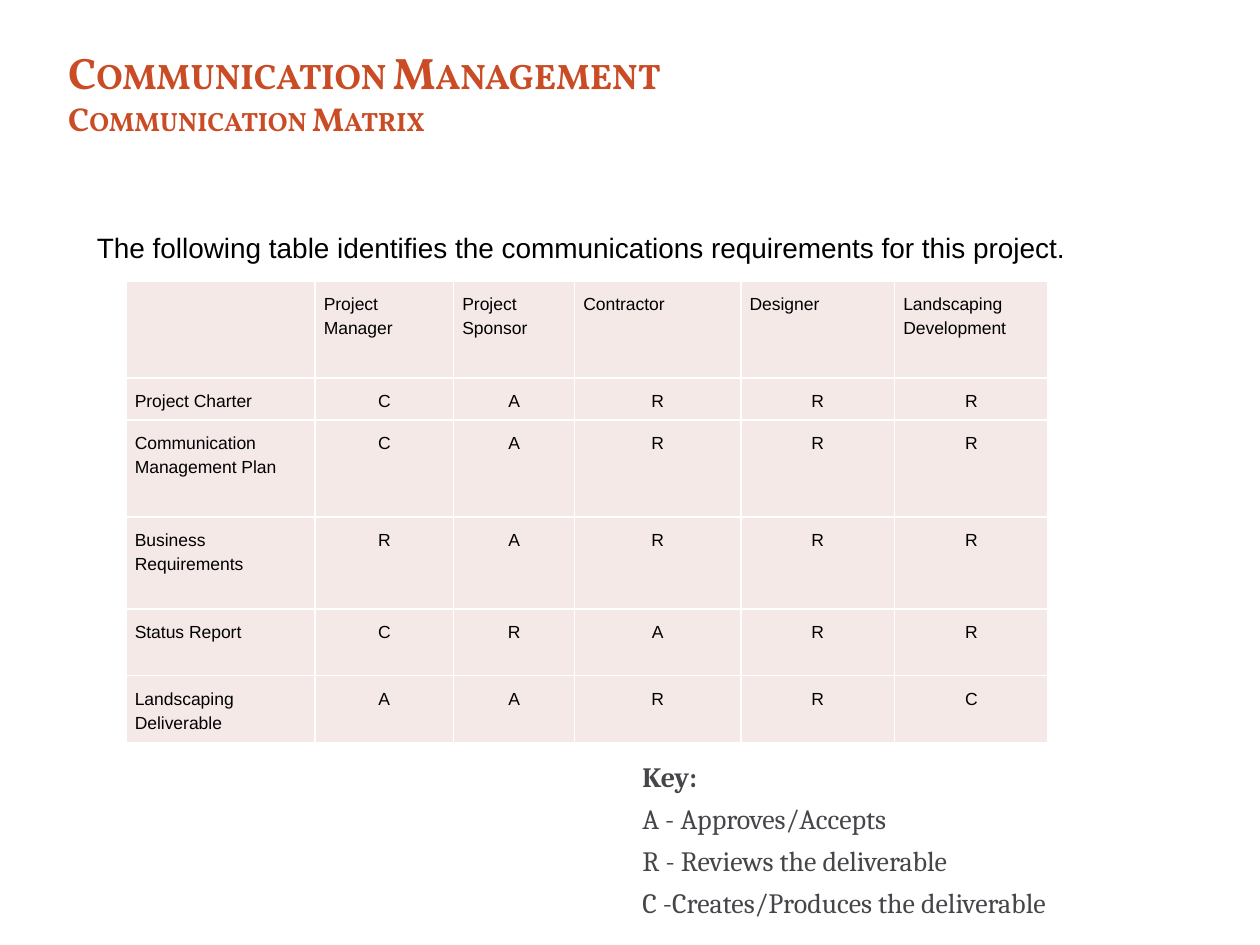
"""Build the communication matrix slide."""
from lxml.etree import SubElement
from pptx import Presentation
from pptx.dml.color import RGBColor
from pptx.enum.text import MSO_ANCHOR, PP_ALIGN
from pptx.oxml.ns import qn
from pptx.util import Inches, Pt

ORANGE = RGBColor(0xC9, 0x4C, 0x25)
PINK = RGBColor(0xF5, 0xE9, 0xE8)
GRAY = RGBColor(0x46, 0x46, 0x4A)
BLACK = RGBColor(0, 0, 0)
WHITE = RGBColor(0xFF, 0xFF, 0xFF)


def set_font(font, name, size, color, bold=False):
    font.name, font.size, font.bold = name, Pt(size), bold
    font.color.rgb = color


def add_borders(cell):
    tc_pr = cell._tc.get_or_add_tcPr()
    for side in ("a:lnL", "a:lnR", "a:lnT", "a:lnB"):
        ln = SubElement(tc_pr, qn(side), w=str(Pt(1)))
        fill = SubElement(ln, qn("a:solidFill"))
        SubElement(fill, qn("a:srgbClr"), val=str(WHITE))


prs = Presentation()
prs.slide_width, prs.slide_height = Inches(10), Inches(7.5)
s = prs.slides.add_slide(prs.slide_layouts[5])

title = s.shapes.title
title.left, title.top = Inches(0.34), Inches(0.36)
title.width, title.height = Inches(5.07), Inches(0.74)
tf = title.text_frame
tf.margin_left = tf.margin_right = 0
tf.vertical_anchor = MSO_ANCHOR.MIDDLE
p = tf.paragraphs[0]
p.alignment = PP_ALIGN.LEFT
p_pr = p._p.get_or_add_pPr()
p_pr.set("marL", str(Inches(0.2)))
p_pr.set("indent", "0")
for text, size in [("Communication", 25.2), (" ", 22.5), ("Management", 25.2),
                   ("Communication Matrix", 18.9)]:
    if text == "Communication Matrix":
        p.add_line_break()
    r = p.add_run()
    r.text = text
    set_font(r.font, "Vollkorn", size, ORANGE, True)
    r._r.get_or_add_rPr().set("cap", "small")

header = ["", "Project Manager", "Project Sponsor", "Contractor", "Designer",
          "Landscaping Development"]
deliverables = [("Project Charter", "CARRR"),
                ("Communication Management Plan", "CARRR"),
                ("Business Requirements", "RARRR"),
                ("Status Report", "CRARR"),
                ("Landscaping Deliverable", "AARRC")]
rows = [header] + [[name, *codes] for name, codes in deliverables]
widths = [1.5, 1.1, 0.96, 1.32, 1.22, 1.22]
heights = [0.77, 0.33, 0.77, 0.73, 0.53, 0.53]

table = s.shapes.add_table(len(rows), len(widths), Inches(1), Inches(2.23),
                           Inches(sum(widths)), Inches(sum(heights))).table
for column, width in zip(table.columns, widths):
    column.width = Inches(width)
for row, height in zip(table.rows, heights):
    row.height = Inches(height)
for i, row in enumerate(rows):
    for j, text in enumerate(row):
        cell = table.cell(i, j)
        add_borders(cell)
        cell.fill.solid()
        cell.fill.fore_color.rgb = PINK
        cell.margin_left = cell.margin_right = Inches(0.07)
        cell.margin_top = cell.margin_bottom = Inches(0.07)
        cell.text = text
        p = cell.text_frame.paragraphs[0]
        p.line_spacing = 1.25
        p.alignment = PP_ALIGN.CENTER if i and j else PP_ALIGN.LEFT
        set_font(p.font, "Arial", 10, BLACK)

key = s.shapes.add_textbox(Inches(5), Inches(5.91), Inches(4.33), Inches(1.41))
tf = key.text_frame
tf.word_wrap = True
tf.text = "Key:\nA - Approves/Accepts\nR - Reviews the deliverable\nC -Creates/Produces the deliverable"
for i, p in enumerate(tf.paragraphs):
    p.line_spacing = 1.25
    set_font(p.font, "Cambria", 16, GRAY, i == 0)

intro = s.shapes.add_textbox(Inches(0.67), Inches(1.78), Inches(7.98), Inches(0.91))
tf = intro.text_frame
tf.word_wrap = False
tf.text = "The following table identifies the communications requirements for this project."
set_font(tf.paragraphs[0].font, "Arial", 16, BLACK)

prs.save("out.pptx")
